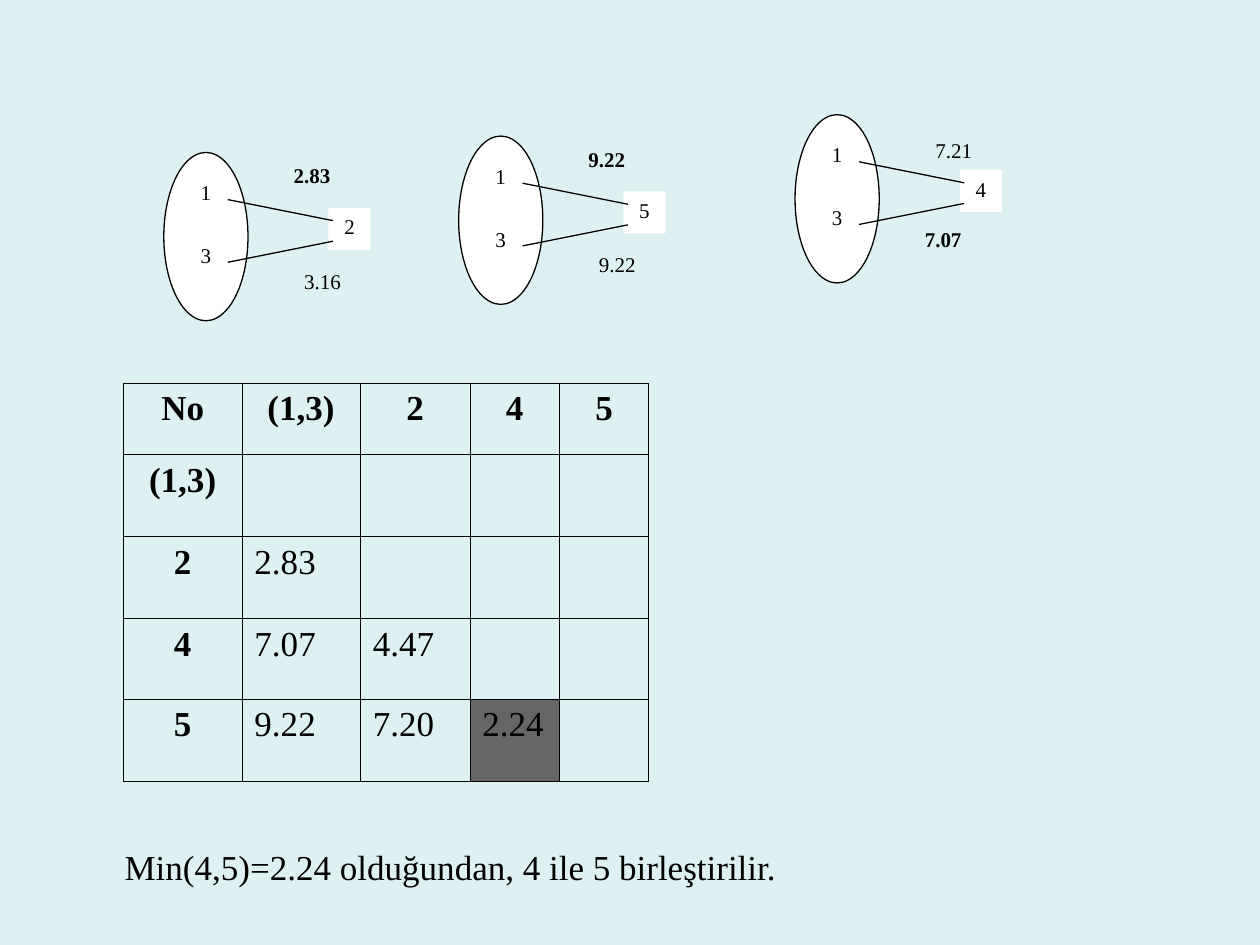
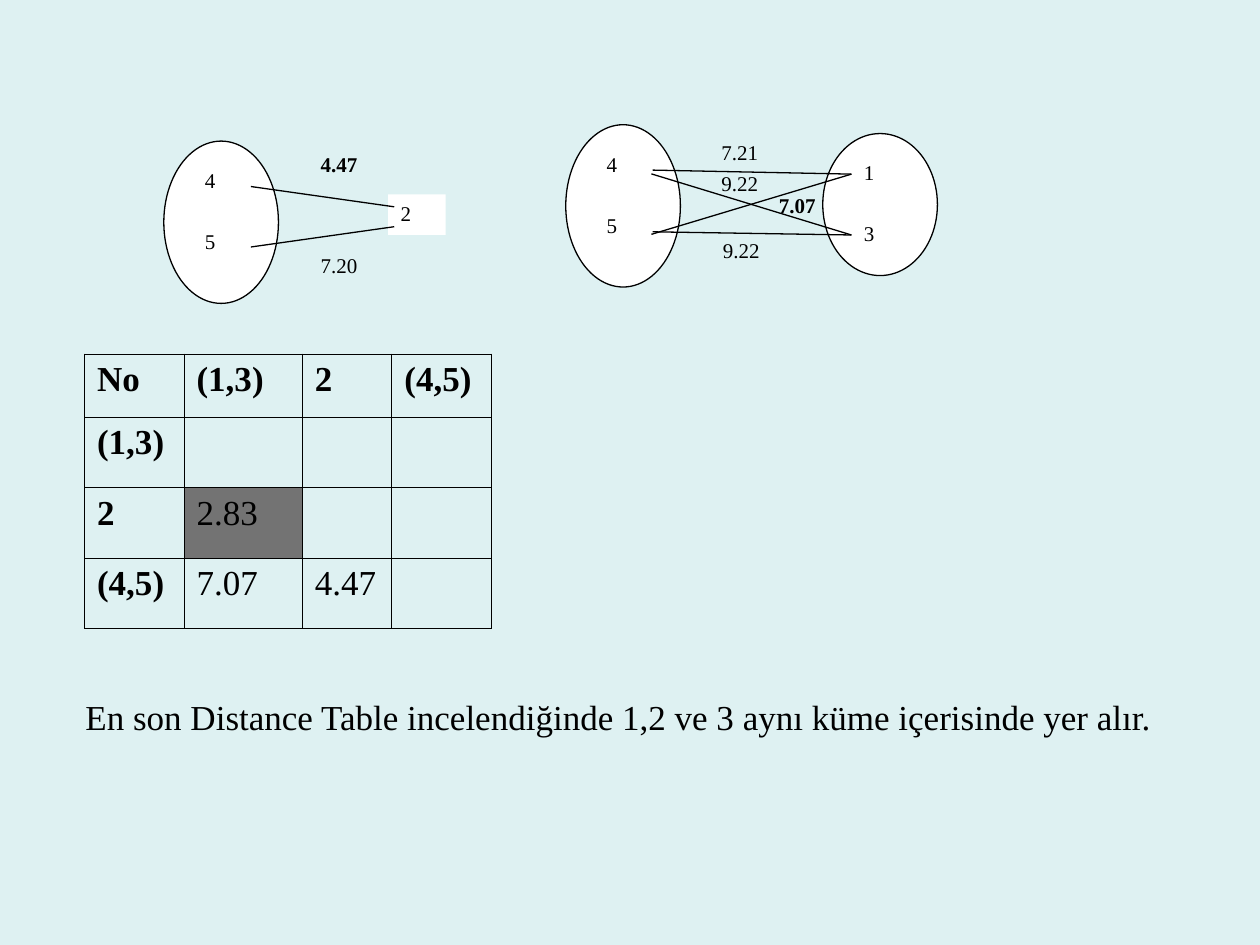
from dataclasses import dataclass

from lxml import etree
from pptx import Presentation
from pptx.dml.color import RGBColor
from pptx.enum.shapes import MSO_CONNECTOR, MSO_SHAPE
from pptx.enum.text import MSO_ANCHOR, MSO_AUTO_SIZE, PP_ALIGN
from pptx.oxml.ns import qn
from pptx.util import Inches, Pt

BACKGROUND = RGBColor(0xDE, 0xF1, 0xF2)
WHITE = RGBColor(0xFF, 0xFF, 0xFF)
BLACK = RGBColor(0x00, 0x00, 0x00)
DARK_GREY = RGBColor(0x66, 0x66, 0x66)
MID_GREY = RGBColor(0x73, 0x73, 0x73)
FONT = "Times New Roman"
DIAGRAM_SIZE = 12
BODY_SIZE = 20
LINE_WIDTH = Pt(0.75)
BORDER_WIDTH = Pt(0.45)


@dataclass
class Grid:
    """Unit grid of one diagram: its origin and unit sizes are in inches."""
    left: float
    top: float
    unit_x: float
    unit_y: float
    alignment: PP_ALIGN

    def point(self, x, y):
        return (Inches(self.left + x * self.unit_x),
                Inches(self.top + y * self.unit_y))

    def box(self, x, y, width, height):
        return (*self.point(x, y),
                Inches(width * self.unit_x), Inches(height * self.unit_y))


def write(text_frame, text, size, alignment, bold=False):
    text_frame.text = text
    paragraph = text_frame.paragraphs[0]
    paragraph.alignment = alignment
    font = paragraph.font
    if paragraph.runs:
        font = paragraph.runs[0].font
    font.name = FONT
    font.size = Pt(size)
    font.bold = bold
    font.color.rgb = BLACK


def add_node(diagram, grid, x, y, text):
    node = diagram.shapes.add_shape(MSO_SHAPE.RECTANGLE, *grid.box(x, y, 2, 2))
    node.shadow.inherit = False
    node.fill.solid()
    node.fill.fore_color.rgb = WHITE
    node.line.fill.background()
    node.text_frame.vertical_anchor = MSO_ANCHOR.TOP
    write(node.text_frame, text, DIAGRAM_SIZE, grid.alignment)


def add_cluster(diagram, grid, members, height=8):
    """Ellipse that encloses two member nodes."""
    ellipse = diagram.shapes.add_shape(MSO_SHAPE.OVAL, *grid.box(0, 0, 4, height))
    ellipse.shadow.inherit = False
    ellipse.fill.solid()
    ellipse.fill.fore_color.rgb = WHITE
    ellipse.line.color.rgb = BLACK
    ellipse.line.width = LINE_WIDTH
    for index, member in enumerate(members):
        add_node(diagram, grid, 1, 1 + 3 * index, member)


def add_link(diagram, start, end):
    link = diagram.shapes.add_connector(MSO_CONNECTOR.STRAIGHT, *start, *end)
    link.line.color.rgb = BLACK
    link.line.width = LINE_WIDTH
    etree.SubElement(link._element.spPr, qn("a:effectLst"))


def add_distance(diagram, grid, x, y, text, bold=False):
    width = 4 if bold else 5
    label = diagram.shapes.add_textbox(*grid.box(x, y, width, 2))
    label.text_frame.word_wrap = True
    write(label.text_frame, text, DIAGRAM_SIZE, grid.alignment, bold)


def add_point_diagram(slide, grid, members, target, distances, nearest,
                      label_rows=(0.2, 5.2)):
    """Cluster of two members linked to one point; the nearest distance is bold."""
    diagram = slide.shapes.add_group_shape()
    add_cluster(diagram, grid, members)
    add_node(diagram, grid, 7.83, 2.63, target)
    for start_y, end_y in ((2.24, 3.24), (5.22, 4.22)):
        add_link(diagram, grid.point(3.04, start_y), grid.point(8.04, end_y))
    for index, (distance, row) in enumerate(zip(distances, label_rows)):
        add_distance(diagram, grid, 5.04, row, distance, index == nearest)


def add_cluster_diagram(slide):
    """Two clusters with every distance between their members."""
    left = Grid(4.49, 0.99, 0.2275, 0.161, PP_ALIGN.LEFT)
    right = Grid(6.53, 1.06, 0.2275, 0.161, PP_ALIGN.LEFT)
    diagram = slide.shapes.add_group_shape()
    add_cluster(diagram, left, ("4", "5"))
    add_cluster(diagram, right, ("1", "3"), height=7)
    upper, lower = right.point(1, 2), right.point(1, 5)
    for x, y, end in ((5.17, 1.38, lower), (5.18, 1.84, lower),
                      (5.17, 1.86, upper), (5.18, 1.35, upper)):
        add_link(diagram, (Inches(x), Inches(y)), end)
    for x, y, distance in ((5, 0.43, "7.21"), (5, 1.93, "9.22"),
                           (5.05, 5.28, "9.22")):
        add_distance(diagram, left, x, y, distance)
    add_distance(diagram, left, 7, 3.04, "7.07", bold=True)


def set_borders(cell):
    properties = cell._tc.get_or_add_tcPr()
    for index, side in enumerate(("lnL", "lnR", "lnT", "lnB")):
        border = etree.Element(qn(f"a:{side}"), w=str(int(BORDER_WIDTH)))
        fill = etree.SubElement(border, qn("a:solidFill"))
        etree.SubElement(fill, qn("a:srgbClr"), val=str(BLACK))
        properties.insert(index, border)


def add_distance_table(slide, left, top, widths, heights, names, distances,
                       heading_alignment, minimum, minimum_fill):
    """Lower-triangle table; minimum is the (row, column) of the shaded cell."""
    table = slide.shapes.add_table(
        len(heights), len(widths), Inches(left), Inches(top),
        Inches(sum(widths)), Inches(sum(heights))).table
    table.first_row = table.horz_banding = False
    for column, width in zip(table.columns, widths):
        column.width = Inches(width)
    for row, height in zip(table.rows, heights):
        row.height = Inches(height)

    rows = [["No", *names]]
    for name, values in zip(names, distances):
        rows.append([name, *values, *[""] * (len(names) - len(values))])
    for row_index, row in enumerate(rows):
        for column_index, text in enumerate(row):
            cell = table.cell(row_index, column_index)
            heading = row_index == 0 or column_index == 0
            alignment = heading_alignment if heading else PP_ALIGN.JUSTIFY
            write(cell.text_frame, text, BODY_SIZE, alignment, heading)
            if (row_index, column_index) == minimum:
                cell.fill.solid()
                cell.fill.fore_color.rgb = minimum_fill
            else:
                cell.fill.background()
            set_borders(cell)


def add_conclusion(slide, left, top, width, text):
    conclusion = slide.shapes.add_textbox(
        Inches(left), Inches(top), Inches(width), Inches(0.44))
    frame = conclusion.text_frame
    frame.word_wrap = False
    frame.auto_size = MSO_AUTO_SIZE.SHAPE_TO_FIT_TEXT
    frame.vertical_anchor = MSO_ANCHOR.MIDDLE
    write(frame, text, BODY_SIZE, PP_ALIGN.JUSTIFY)


def build_first_merge(slide):
    for left, top, target, distances, nearest, label_rows in (
            (1.3, 1.21, "2", ("2.83", "3.16"), 0, (0.2, 5.2)),
            (3.64, 1.08, "5", ("9.22", "9.22"), 0, (0.2, 5.2)),
            (6.31, 0.91, "4", ("7.21", "7.07"), 1, (0.78, 5.03))):
        grid = Grid(left, top, 0.167, 0.167, PP_ALIGN.CENTER)
        add_point_diagram(slide, grid, ("1", "3"), target, distances,
                          nearest, label_rows)
    add_distance_table(
        slide, 0.98, 3.04,
        widths=(0.94, 0.94, 0.87, 0.71, 0.71),
        heights=(0.57, 0.65, 0.65, 0.64, 0.65),
        names=("(1,3)", "2", "4", "5"),
        distances=((), ("2.83",), ("7.07", "4.47"), ("9.22", "7.20", "2.24")),
        heading_alignment=PP_ALIGN.CENTER,
        minimum=(4, 3), minimum_fill=DARK_GREY)
    add_conclusion(slide, 0.89, 6.66, 5.39,
                   "Min(4,5)=2.24 olduğundan, 4 ile 5 birleştirilir.")


def build_second_merge(slide):
    grid = Grid(1.3, 1.12, 0.2275, 0.161, PP_ALIGN.LEFT)
    add_point_diagram(slide, grid, ("4", "5"), "2", ("4.47", "7.20"), 0)
    add_cluster_diagram(slide)
    add_distance_table(
        slide, 0.67, 2.81,
        widths=(0.79, 0.94, 0.71, 0.79),
        heights=(0.5, 0.56, 0.56, 0.56),
        names=("(1,3)", "2", "(4,5)"),
        distances=((), ("2.83",), ("7.07", "4.47")),
        heading_alignment=PP_ALIGN.JUSTIFY,
        minimum=(2, 1), minimum_fill=MID_GREY)
    add_conclusion(slide, 0.58, 5.47, 8.7,
                   "En son Distance Table incelendiğinde 1,2 ve 3 aynı küme "
                   "içerisinde yer alır.")


def main():
    presentation = Presentation()
    presentation.slide_width = Inches(10)
    presentation.slide_height = Inches(7.5)
    background = presentation.slide_master.background.fill
    background.solid()
    background.fore_color.rgb = BACKGROUND
    blank = presentation.slide_layouts[6]
    for build in (build_first_merge, build_second_merge):
        build(presentation.slides.add_slide(blank))
    presentation.save("out.pptx")


if __name__ == "__main__":
    main()
